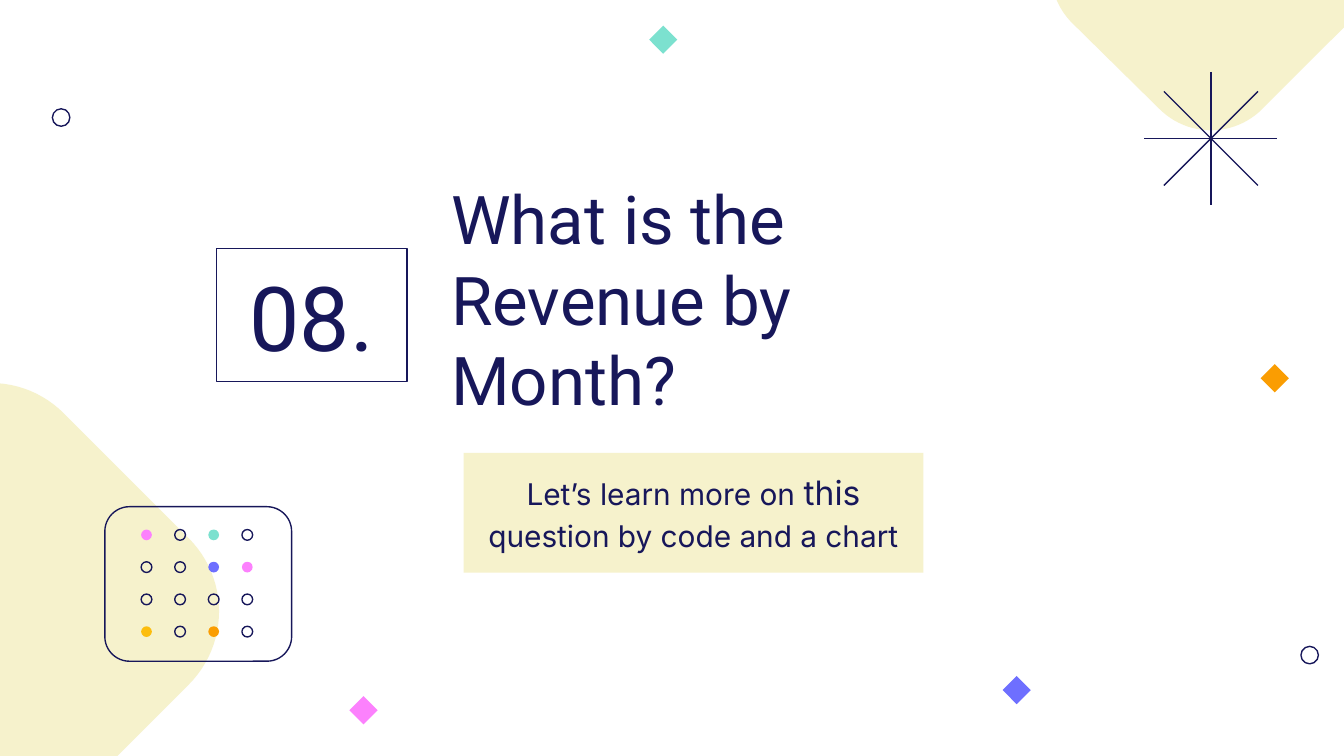
import math
from dataclasses import dataclass
from lxml import etree
from pptx import Presentation
from pptx.dml.color import RGBColor
from pptx.enum import shapes as sh, text as tx
from pptx.oxml import ns
from pptx.util import Inches, Pt


@dataclass(frozen=True)
class Theme:
    navy: str = "17175A"
    cream: str = "F6F2CC"
    mint: str = "7CE1CF"
    orange: str = "FA9D02"
    yellow: str = "FCBD0E"
    pink: str = "FC81FD"
    violet: str = "6E6FFF"
    heading: str = "Roboto"
    body: str = "Inter"
    number_size: float = 48
    title_size: float = 36
    accent_size: float = 18
    body_size: float = 16
    stroke: float = 0.75


theme = Theme()
navy = RGBColor.from_string(theme.navy)
deck = Presentation()
deck.slide_width, deck.slide_height = Inches(10), Inches(10 * 9 / 16)
slide = deck.slides.add_slide(deck.slide_layouts[6])


def paint(shape, fill=None):
    shape.shadow.inherit = False
    if fill:
        shape.fill.solid()
        shape.fill.fore_color.rgb = RGBColor.from_string(fill)
        shape.line.fill.background()
    else:
        shape.fill.background()
        shape.line.color.rgb = navy
        shape.line.width = Pt(theme.stroke)
    return shape


def write(box, wording, font, size, align, anchor):
    frame = box.text_frame
    frame.word_wrap = True
    frame.vertical_anchor = anchor
    frame.margin_left = frame.margin_right = Inches(0.1)
    frame.margin_top = frame.margin_bottom = Inches(0.1)
    line = frame.paragraphs[0]
    line.alignment = align
    line.font.name, line.font.size, line.font.color.rgb = font, Pt(size), navy
    for part in wording:
        line.add_run().text = part
    return line


left_blob = [(-0.07 + 0.93 * dx, 4.55 + 0.93 * dy, 0.77, turn - 45, turn + 45)
             for dx, dy, turn in [(1, 0, 0), (0, 1, 90), (-1, 0, 180), (0, -1, 270)]]
top_blob = [(9.65, -0.21, 0.54, 22, 45), (9.01, 0.43, 0.54, 45, 135),
            (8.36, -0.21, 0.54, 135, 158)]
for corners in (left_blob, top_blob):
    outline = [(Inches(x + r * math.cos(math.radians(start + (end - start) * step / 24))),
                Inches(y + r * math.sin(math.radians(start + (end - start) * step / 24))))
               for x, y, r, start, end in corners for step in range(25)]
    blob = slide.shapes.build_freeform(*outline[0])
    blob.add_line_segments(outline[1:], close=True)
    paint(blob.convert_to_shape(), theme.cream)

for x, y in [(0.39, 0.81), (9.68, 4.81)]:
    paint(slide.shapes.add_shape(sh.MSO_SHAPE.OVAL, Inches(x), Inches(y),
                                 Inches(0.13), Inches(0.13)))

for x, y, color in [(4.83, 0.19, theme.mint), (9.38, 2.71, theme.orange),
                    (2.6, 5.18, theme.pink), (7.46, 5.03, theme.violet)]:
    paint(slide.shapes.add_shape(sh.MSO_SHAPE.DIAMOND, Inches(x), Inches(y),
                                 Inches(0.21), Inches(0.21)), color)

subtitle = paint(slide.shapes.add_shape(sh.MSO_SHAPE.RECTANGLE, Inches(3.45), Inches(3.37),
                                        Inches(3.42), Inches(0.89)), theme.cream)
sentence = write(subtitle, ["Let’s learn more on ", "this", " question by code and a chart"],
                 theme.body, theme.body_size, tx.PP_ALIGN.CENTER, tx.MSO_ANCHOR.TOP)
sentence.line_spacing = 1.15
sentence.runs[1].font.size = Pt(theme.accent_size)

title = slide.shapes.add_textbox(Inches(3.26), Inches(1.79), Inches(4.38), Inches(1.43))
write(title, ["What is the Revenue by Month?"], theme.heading, theme.title_size,
      tx.PP_ALIGN.LEFT, tx.MSO_ANCHOR.BOTTOM)

number = paint(slide.shapes.add_shape(sh.MSO_SHAPE.RECTANGLE, Inches(1.61), Inches(1.85),
                                      Inches(1.42), Inches(0.99)))
write(number, ["08."], theme.heading, theme.number_size,
      tx.PP_ALIGN.CENTER, tx.MSO_ANCHOR.MIDDLE)

star = slide.shapes.add_group_shape()
for angle in (90, 0, -45, 45):
    dx = 0.99 / 2 * math.cos(math.radians(angle))
    dy = 0.99 / 2 * math.sin(math.radians(angle))
    ray = star.shapes.add_connector(sh.MSO_CONNECTOR.STRAIGHT,
                                    Inches(9.01 - dx), Inches(1.03 - dy),
                                    Inches(9.01 + dx), Inches(1.03 + dy))
    ray.line.color.rgb = navy
    ray.line.width = Pt(theme.stroke)
    etree.SubElement(ray._element.spPr, ns.qn("a:effectLst"))

dot_card = slide.shapes.add_group_shape()
card_outline = paint(dot_card.shapes.add_shape(sh.MSO_SHAPE.ROUNDED_RECTANGLE, Inches(0.78),
                                               Inches(3.77), Inches(1.39), Inches(1.15)))
card_outline.adjustments[0] = 0.16
dot_colors = [
    [theme.pink, None, theme.mint, None],
    [None, None, theme.violet, theme.pink],
    [None, None, None, None],
    [theme.yellow, None, theme.orange, None],
]
for row, colors in enumerate(dot_colors):
    for column, color in enumerate(colors):
        paint(dot_card.shapes.add_shape(sh.MSO_SHAPE.OVAL, Inches(1.05 + 0.25 * column),
                                        Inches(3.94 + 0.24 * row),
                                        Inches(0.08), Inches(0.08)), color)

deck.save("out.pptx")
